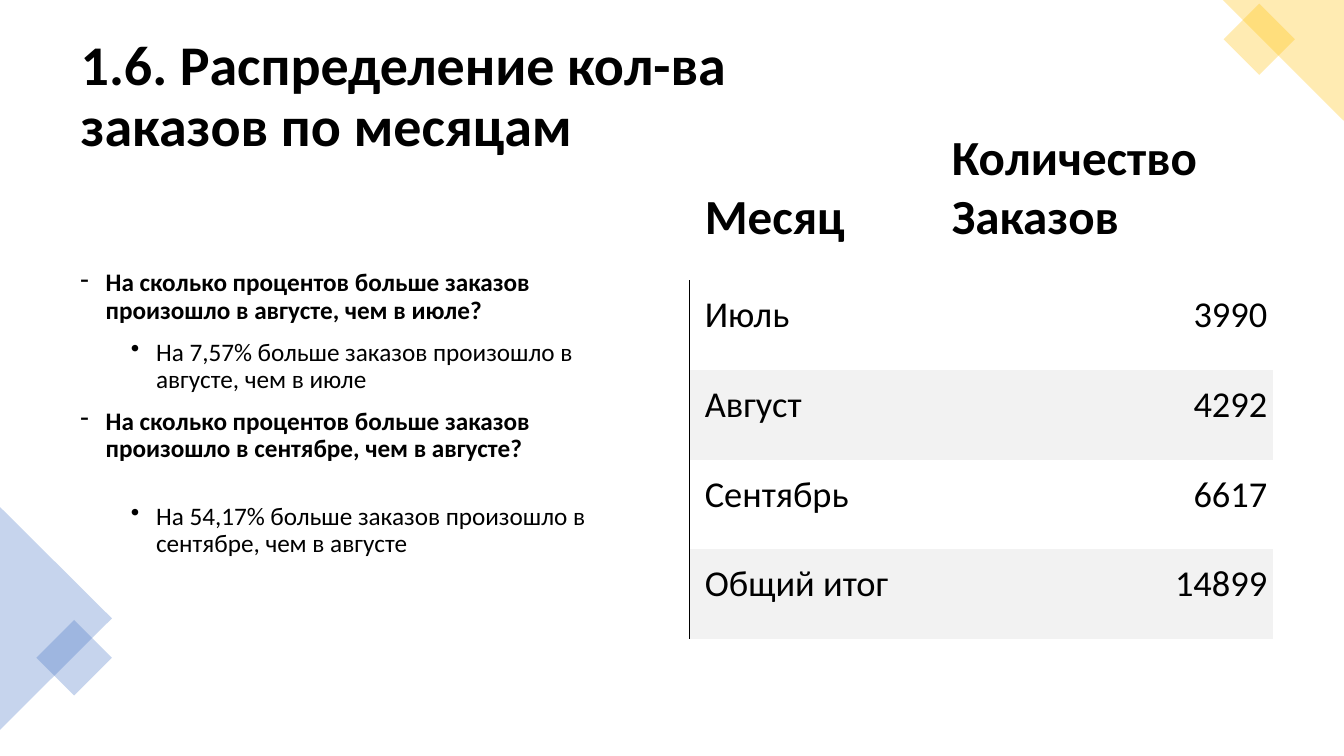
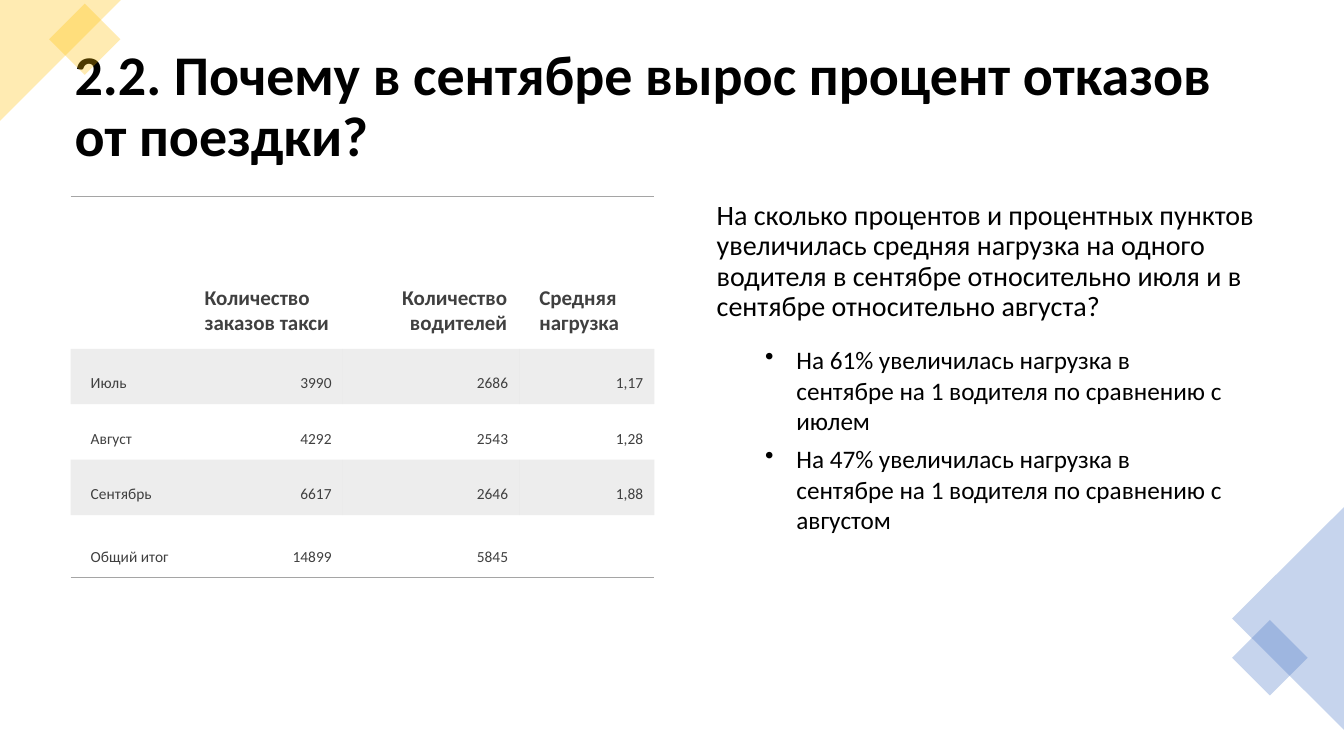
"""Build two slides about monthly taxi orders and driver load."""
from dataclasses import dataclass, replace

from lxml import etree
from pptx import Presentation
from pptx.dml.color import RGBColor
from pptx.enum.shapes import MSO_SHAPE
from pptx.enum.text import MSO_ANCHOR, MSO_AUTO_SIZE, PP_ALIGN
from pptx.oxml.ns import qn
from pptx.util import Emu, Pt

TRIANGLE, SQUARE = MSO_SHAPE.ISOSCELES_TRIANGLE, MSO_SHAPE.RECTANGLE
LEFT, RIGHT = PP_ALIGN.LEFT, PP_ALIGN.RIGHT
MIDDLE, BOTTOM = MSO_ANCHOR.MIDDLE, MSO_ANCHOR.BOTTOM
NO_AUTOFIT = MSO_AUTO_SIZE.NONE
TITLE_ONLY = 5
PX = 9144
WIDTH, HEIGHT = 1333, 750
FONT = "Calibri"
COLORS = {
    "text": "000000",
    "muted": "404040",
    "blue": "4472C4",
    "yellow": "FFC000",
    "stripe": "F2F2F2",
    "gray": "A5A5A5",
}


def px(*lengths):
    return [Emu(length * PX) for length in lengths]


@dataclass
class Line:
    text: str
    size: int = 18
    bold: bool = False
    color: str = "text"
    align: int = LEFT
    bullet: str = ""
    indent: int = 0
    hang: int = 0
    spacing: float = 0.9
    before: int = 0
    after: int = 0


@dataclass
class TableStyle:
    header: Line
    body: Line
    header_margins: tuple
    body_margins: tuple
    stripe: str
    stripe_alpha: int
    stripe_start: int
    border: str
    border_width: float
    right_headers: tuple = ()


class Deck:
    def __init__(self):
        self.presentation = Presentation()
        self.presentation.slide_width, self.presentation.slide_height = px(WIDTH, HEIGHT)
        self.slide = None

    def add_slide(self, title, box, mirrored=False):
        layout = self.presentation.slide_layouts[TITLE_ONLY]
        self.slide = self.presentation.slides.add_slide(layout)
        heading = self.slide.shapes.title
        heading.left, heading.top, heading.width, heading.height = px(*box)
        self.fill_frame(heading.text_frame, [Line(title, size=40, bold=True)], MIDDLE)
        self.corners(mirrored)

    def corners(self, mirrored):
        blue_turn, yellow_turn = (270, 90) if mirrored else (90, 270)
        yellow_tip = 0 if mirrored else 1
        for kind, box, turn, color, tip in (
            (TRIANGLE, (-55, 558, 221, 111), blue_turn, "blue", 0.5),
            (SQUARE, (47, 626, 53, 53), 45, "blue", None),
            (TRIANGLE, (1213, 0, 120, 120), yellow_turn, "yellow", yellow_tip),
            (SQUARE, (1224, 14, 50, 50), 45, "yellow", None),
        ):
            left, top, width, height = box
            if mirrored:
                left = WIDTH - left - width
            self.shape(kind, (left, top, width, height), turn, color, tip)

    def shape(self, kind, box, turn, color, tip):
        shape = self.slide.shapes.add_shape(kind, *px(*box))
        shape.rotation = turn
        shape.shadow.inherit = False
        shape.line.fill.background()
        if tip is not None:
            shape.adjustments[0] = tip
        self.fill(shape.fill, shape.element.spPr, color, 30)

    def fill(self, fill, properties, color, alpha=100):
        fill.solid()
        fill.fore_color.rgb = RGBColor.from_string(COLORS[color])
        if alpha < 100:
            tint = next(properties.iter(qn("a:srgbClr")))
            etree.SubElement(tint, qn("a:alpha"), val=str(alpha * 1000))

    def fill_frame(self, frame, lines, anchor=None):
        frame.word_wrap = True
        frame.auto_size = NO_AUTOFIT
        if anchor is not None:
            frame.vertical_anchor = anchor
        for index, line in enumerate(lines):
            paragraph = frame.add_paragraph() if index else frame.paragraphs[0]
            self.set_line(paragraph, line)

    def set_line(self, paragraph, line):
        paragraph.alignment = line.align
        paragraph.line_spacing = line.spacing
        paragraph.space_before = Pt(line.before)
        paragraph.space_after = Pt(line.after)
        if line.bullet:
            properties = paragraph._p.get_or_add_pPr()
            properties.set("marL", str(line.indent * PX))
            properties.set("indent", str(-line.hang * PX))
            etree.SubElement(properties, qn("a:buChar"), char=line.bullet)
        run = paragraph.add_run()
        run.text = line.text
        run.font.name = FONT
        run.font.size = Pt(line.size)
        run.font.bold = line.bold
        run.font.color.rgb = RGBColor.from_string(COLORS[line.color])

    def text(self, box, lines):
        frame = self.slide.shapes.add_textbox(*px(*box)).text_frame
        self.fill_frame(frame, lines)

    def table(self, corner, columns, heights, rows, style, borders):
        size = sum(columns), sum(heights)
        frame = self.slide.shapes.add_table(len(rows), len(columns), *px(*corner, *size))
        table = frame.table
        table.first_row = table.horz_banding = False
        for column, width in zip(table.columns, px(*columns)):
            column.width = width
        for row, height in zip(table.rows, px(*heights)):
            row.height = height
        for row, values in enumerate(rows):
            for column, value in enumerate(values):
                self.cell(table.cell(row, column), row, column, value, style)
                self.borders(table.cell(row, column), borders(row, column), style)

    def cell(self, cell, row, column, value, style):
        margins = style.body_margins if row else style.header_margins
        cell.margin_left, cell.margin_top, cell.margin_right, cell.margin_bottom = px(*margins)
        cell.vertical_anchor = BOTTOM
        if row and row % 2 == style.stripe_start % 2:
            properties = cell._tc.get_or_add_tcPr()
            self.fill(cell.fill, properties, style.stripe, style.stripe_alpha)
        else:
            cell.fill.background()
        if value:
            to_right = column > 0 if row else column in style.right_headers
            line = style.body if row else style.header
            align = RIGHT if to_right else LEFT
            self.set_line(cell.text_frame.paragraphs[0], replace(line, text=value, align=align))

    def borders(self, cell, sides, style):
        properties = cell._tc.get_or_add_tcPr()
        for index, side in enumerate("LRTB"):
            border = etree.Element(qn(f"a:ln{side}"))
            properties.insert(index, border)
            if side in sides:
                border.set("w", str(Pt(style.border_width)))
                solid = etree.SubElement(border, qn("a:solidFill"))
                etree.SubElement(solid, qn("a:srgbClr"), val=COLORS[style.border])
            else:
                etree.SubElement(border, qn("a:noFill"))


def orders_slide(deck):
    deck.add_slide("1.6. Распределение кол-ва заказов по месяцам", (70, 35, 811, 124))
    question = Line("", bold=True, bullet="-", indent=25, hang=25)
    answer = Line("", bullet="•", indent=75, hang=25)
    deck.text((70, 263, 544, 481), [
        replace(question, after=6,
                text="На сколько процентов больше заказов произошло в августе, чем в июле?"),
        replace(answer, before=5,
                text="На 7,57% больше заказов произошло в августе, чем в июле"),
        replace(question, before=10,
                text="На сколько процентов больше заказов произошло в сентябре, чем в августе?"),
        replace(answer, before=29, after=6,
                text="На 54,17% больше заказов произошло в сентябре, чем в августе"),
    ])
    margins = (15, 4, 6, 32)
    style = TableStyle(
        header=Line("", size=35, bold=True, spacing=1.0),
        body=Line("", size=26, spacing=1.0),
        header_margins=margins, body_margins=margins,
        stripe="stripe", stripe_alpha=100, stripe_start=2,
        border="text", border_width=0.75,
    )
    rows = [
        ("Месяц", "Количество Заказов"),
        ("Июль", "3990"),
        ("Август", "4292"),
        ("Сентябрь", "6617"),
        ("Общий итог", "14899"),
    ]
    deck.table((684, 117), (245, 334), (161, 89, 89, 89, 89), rows, style,
               lambda row, column: "L" if row and column == 0 else "")


def load_slide(deck):
    deck.add_slide("2.2. Почему в сентябре вырос процент отказов от поездки?",
                   (64, 45, 1168, 124), mirrored=True)
    deck.text((701, 195, 562, 481), [
        Line("На сколько процентов и процентных пунктов увеличилась средняя нагрузка "
             "на одного водителя в сентябре относительно июля и в сентябре "
             "относительно августа?", size=20, before=10),
    ])
    deck.text((749, 337, 482, 200), [
        Line(f"На {growth}% увеличилась нагрузка в сентябре на 1 водителя по сравнению с {month}",
             bullet="•", indent=31, hang=31, spacing=1.0, after=6)
        for growth, month in ((61, "июлем"), (47, "августом"))
    ])
    style = TableStyle(
        header=Line("", size=15, bold=True, color="muted", spacing=1.0),
        body=Line("", size=11, color="muted", spacing=1.0),
        header_margins=(20, 12, 12, 12), body_margins=(20, 11, 11, 11),
        stripe="gray", stripe_alpha=20, stripe_start=1,
        border="gray", border_width=1, right_headers=(2,),
    )
    rows = [
        ("", "Количество заказов такси", "Количество водителей", "Средняя нагрузка"),
        ("Июль", "3990", "2686", "1,17"),
        ("Август", "4292", "2543", "1,28"),
        ("Сентябрь", "6617", "2646", "1,88"),
        ("Общий итог", "14899", "5845", ""),
    ]
    rules = {0: "TB", len(rows) - 1: "B"}
    deck.table((70, 195), (113, 157, 175, 134), (151, 55, 55, 55, 62), rows, style,
               lambda row, column: rules.get(row, ""))


def main():
    deck = Deck()
    orders_slide(deck)
    load_slide(deck)
    deck.presentation.save("out.pptx")


if __name__ == "__main__":
    main()
